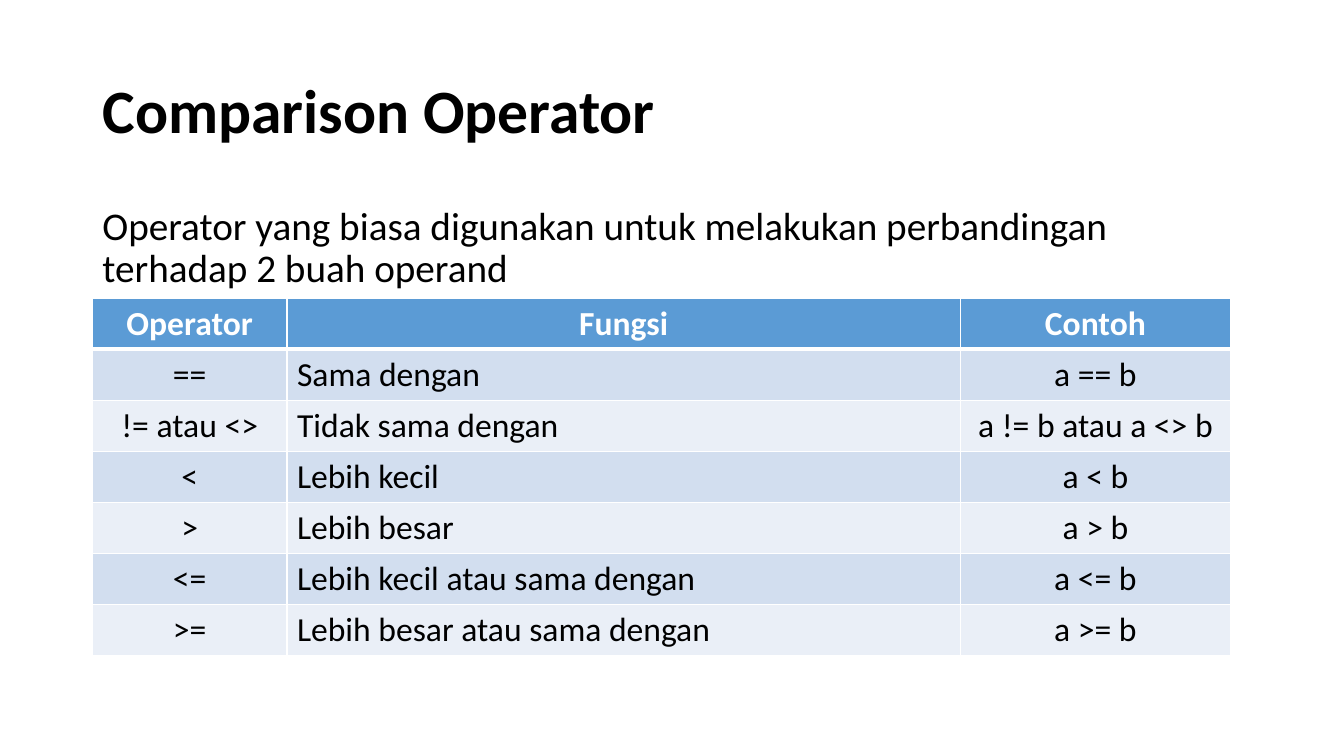
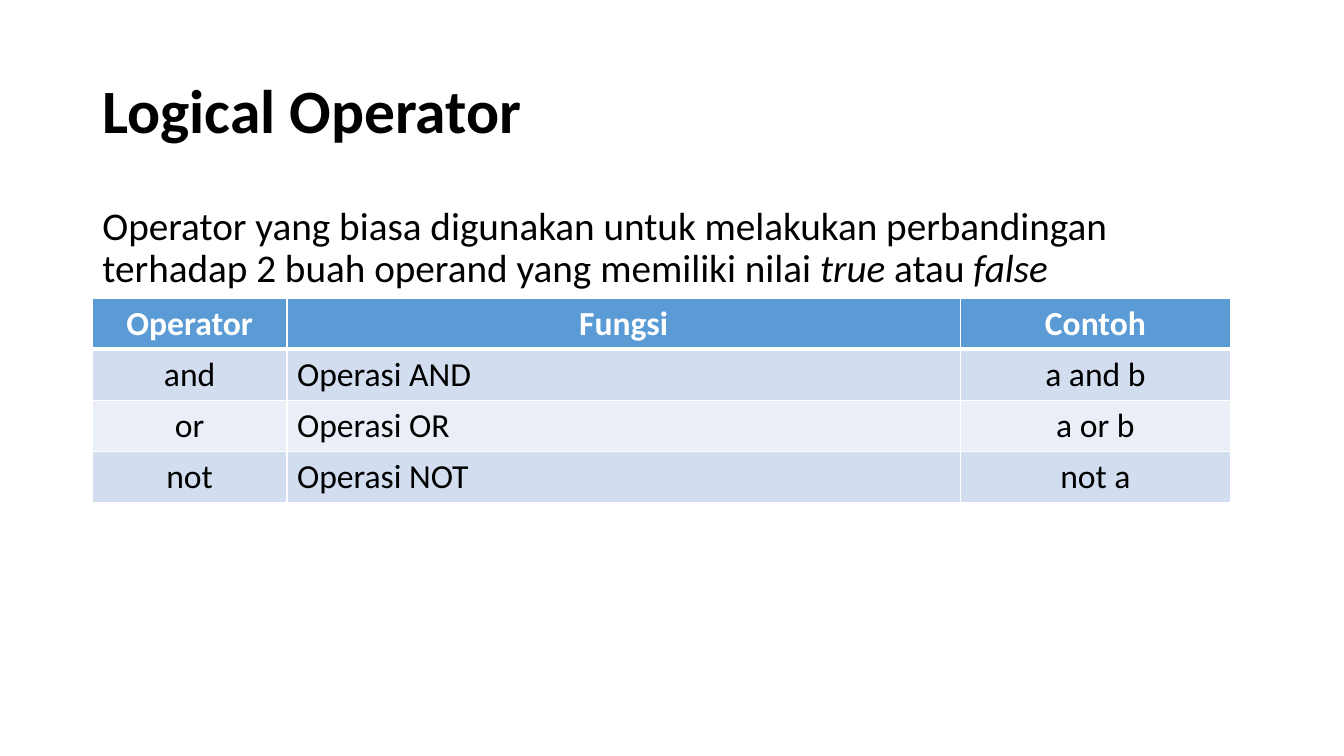
"""Build two slides on comparison and logical operators."""
from dataclasses import dataclass

from lxml import etree
from pptx import Presentation
from pptx.dml.color import RGBColor
from pptx.enum.text import MSO_ANCHOR, MSO_AUTO_SIZE, PP_ALIGN
from pptx.oxml.ns import qn
from pptx.util import Pt

LEFT, CENTER = PP_ALIGN.LEFT, PP_ALIGN.CENTER
TOP, MIDDLE = MSO_ANCHOR.TOP, MSO_ANCHOR.MIDDLE
NO_FIT = MSO_AUTO_SIZE.NONE

FONT = "Calibri"
BLACK, WHITE, BLUE = "000000", "FFFFFF", "5B9BD5"
BANDS = ("D2DEEF", "EAEFF7")
HEADS = ("Operator", "Fungsi", "Contoh")
COLS = (139, 481, 193)
ALIGNS = (CENTER, LEFT, CENTER)
ROW = 36.5
EDGE, WIDTH = 66, 828
INTRO = "Operator yang biasa digunakan untuk melakukan perbandingan terhadap 2 buah operand"


@dataclass(frozen=True)
class Span:
    """A piece of text in one style."""
    text: str
    slant: bool = False


@dataclass(frozen=True)
class Page:
    """The content of one slide."""
    title: str
    intro: tuple[Span, ...]
    rows: tuple[tuple[str, str, str], ...]


PAGES = (
    Page(
        "Comparison Operator",
        (Span(INTRO),),
        (
            ("==", "Sama dengan", "a == b"),
            ("!= atau <>", "Tidak sama dengan", "a != b atau a <> b"),
            ("<", "Lebih kecil", "a < b"),
            (">", "Lebih besar", "a > b"),
            ("<=", "Lebih kecil atau sama dengan", "a <= b"),
            (">=", "Lebih besar atau sama dengan", "a >= b"),
        ),
    ),
    Page(
        "Logical Operator",
        (Span(INTRO + " yang memiliki nilai "), Span("true ", True),
         Span("atau "), Span("false", True)),
        (
            ("and", "Operasi AND", "a and b"),
            ("or", "Operasi OR", "a or b"),
            ("not", "Operasi NOT", "not a"),
        ),
    ),
)


def color(value: str) -> RGBColor:
    """Turn a hex string into a colour."""
    return RGBColor.from_string(value)


def add_run(para, span: Span, size: float, ink: str, bold: bool = False) -> None:
    """Add one styled run to a paragraph."""
    run = para.add_run()
    run.text = span.text
    font = run.font
    font.name, font.size = FONT, Pt(size)
    font.bold, font.italic = bold, span.slant
    font.color.rgb = color(ink)


def fill_holder(holder, top: float, height: float, anchor, size: float,
                spans: tuple[Span, ...], bold: bool = False):
    """Place a placeholder, write its text and return the paragraph."""
    holder.left, holder.top = Pt(EDGE), Pt(top)
    holder.width, holder.height = Pt(WIDTH), Pt(height)
    frame = holder.text_frame
    frame.auto_size, frame.vertical_anchor = NO_FIT, anchor
    para = frame.paragraphs[0]
    para.alignment, para.line_spacing = LEFT, 0.9
    for span in spans:
        add_run(para, span, size, BLACK, bold)
    return para


def add_edge(cell, side: str, width: float) -> None:
    """Draw a white border on one side of a cell."""
    props = cell._tc.get_or_add_tcPr()
    line = etree.SubElement(props, qn(f"a:ln{side}"), w=str(Pt(width)))
    solid = etree.SubElement(line, qn("a:solidFill"))
    etree.SubElement(solid, qn("a:srgbClr"), val=WHITE)


def add_grid(slide, rows: tuple[tuple[str, str, str], ...]) -> None:
    """Add the operator table under the intro."""
    lines = (HEADS, *rows)
    table = slide.shapes.add_table(
        len(lines), len(COLS), Pt(EDGE), Pt(213), Pt(sum(COLS)), Pt(ROW * len(lines))
    ).table
    for col, width in zip(table.columns, COLS):
        col.width = Pt(width)
    for i, line in enumerate(lines):
        table.rows[i].height = Pt(ROW)
        head = i == 0
        for j, text in enumerate(line):
            cell = table.cell(i, j)
            for side in "LRTB":
                thick = (side == "B" and head) or (side == "T" and i == 1)
                add_edge(cell, side, 3 if thick else 1)
            cell.fill.solid()
            cell.fill.fore_color.rgb = color(BLUE if head else BANDS[(i - 1) % 2])
            para = cell.text_frame.paragraphs[0]
            para.alignment = CENTER if head else ALIGNS[j]
            add_run(para, Span(text), 24, WHITE if head else BLACK, head)


def add_page(deck, page: Page) -> None:
    """Add one slide with title, intro and table."""
    slide = deck.slides.add_slide(deck.slide_layouts[1])
    title, body = slide.placeholders
    fill_holder(title, 28.8, 104.4, MIDDLE, 44, (Span(page.title),), True)
    para = fill_holder(body, 144, 342.7, TOP, 28, page.intro)
    para.space_before = Pt(10)
    props = para._p.get_or_add_pPr()
    props.set("marL", "0")
    props.set("indent", "0")
    etree.SubElement(props, qn("a:buNone"))
    add_grid(slide, page.rows)


def main() -> None:
    """Build and save the deck."""
    deck = Presentation()
    deck.slide_width, deck.slide_height = Pt(960), Pt(540)
    for page in PAGES:
        add_page(deck, page)
    deck.save("out.pptx")


if __name__ == "__main__":
    main()
